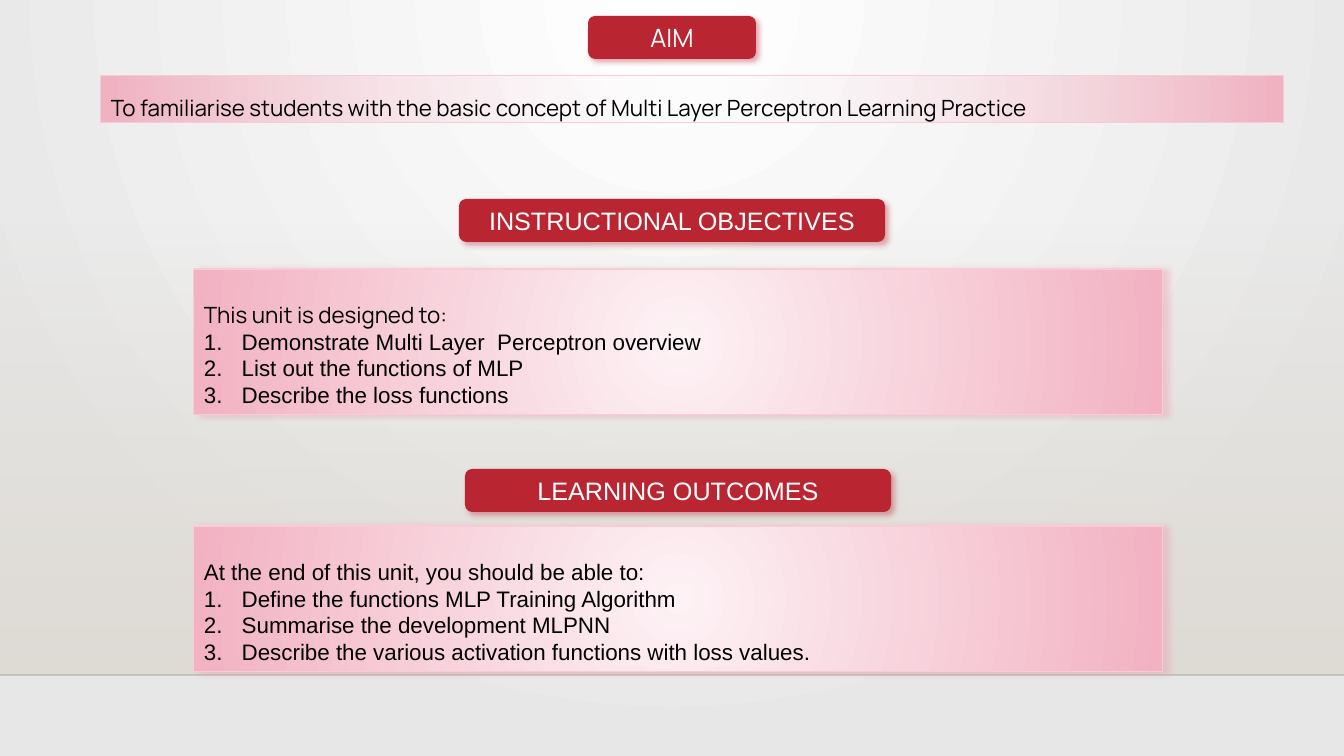
from lxml import etree
from pptx import Presentation
from pptx import util as u
from pptx.dml.color import RGBColor
from pptx.enum import shapes, text
from pptx.oxml import parse_xml
from pptx.oxml.ns import nsdecls, qn

PX = 12700 * 5 / 7  # 100.8 px to the inch
ROSE, BLUSH, CRIMSON, SAND = "F2B2C2", "FDF2F5", "BA2532", "DFDBD5"
CENTRE = '<a:path path="circle"><a:fillToRect l="50000" t="50000" r="50000" b="50000"/></a:path>'


def gradient(fill_parent, first, first_alpha, last, direction):
    """Replace the empty fill inside fill_parent by a two-stop gradient."""
    xml = (f'<a:gradFill {nsdecls("a")} rotWithShape="1"><a:gsLst>'
           f'<a:gs pos="0"><a:srgbClr val="{first}"><a:alpha val="{first_alpha * 1000}"/></a:srgbClr></a:gs>'
           f'<a:gs pos="100000"><a:srgbClr val="{last}"/></a:gs></a:gsLst>{direction}</a:gradFill>')
    no_fill = fill_parent.find(qn("a:noFill"))
    fill_parent.replace(no_fill, parse_xml(xml))


def block(kind, box, shadow=None, angle=0):
    """Add a shape without fill or line, with an optional (soft) shadow."""
    shape = slide.shapes.add_shape(kind, *[round(v * PX) for v in box])
    shape.fill.background()
    shape.line.fill.background()
    shape.shadow.inherit = False
    if shadow:
        effects = shape._element.spPr.find(qn("a:effectLst"))
        effects.append(parse_xml(
            f'<a:outerShdw {nsdecls("a")} blurRad="50800" dist="38100" dir="{angle * 60000}" '
            f'algn="tl" rotWithShape="0"><a:srgbClr val="{shadow}">'
            '<a:alpha val="40000"/></a:srgbClr></a:outerShdw>'))
    return shape


prs = Presentation()
prs.slide_width, prs.slide_height = round(1344 * PX), round(756 * PX)
slide = prs.slides.add_slide(prs.slide_layouts[6])

# Background, sand fade and floor line
slide.background.fill.background()
background = slide._element.cSld.find(qn("p:bg")).find(qn("p:bgPr"))
gradient(background, "FFFFFF", 100, "E7E7E7",
         '<a:path path="circle"><a:fillToRect l="43000" r="43000" b="100000"/></a:path>')
fade = block(shapes.MSO_SHAPE.RECTANGLE, (0, 223, 1344, 452))
gradient(fade._element.spPr, SAND, 0, SAND, '<a:lin ang="5400000" scaled="0"/>')
floor = slide.shapes.add_connector(shapes.MSO_CONNECTOR.STRAIGHT, 0, round(675 * PX),
                                   prs.slide_width, round(675 * PX))
floor.line.width = u.Pt(1)
floor.line.color.rgb = RGBColor.from_string("000001")
floor_colour = floor._element.spPr.find(".//" + qn("a:srgbClr"))
etree.SubElement(floor_colour, qn("a:alpha"), val="20000")
etree.SubElement(floor._element.spPr, qn("a:effectLst"))

# Sections: heading, its font and box; panel box, centre opacity, shadow, line spacing; intro, font, items
sections = [
    ("AIM", "Manrope", (588, 16, 168, 43), (101, 76, 1183, 47), 0, None, 1.5,
     "To familiarise students with the basic concept of Multi Layer Perceptron Learning Practice",
     "Manrope", []),
    ("INSTRUCTIONAL OBJECTIVES", "Arial", (459, 199, 426, 43), (194, 269, 969, 146), 100, "EE99AD", 2,
     "This unit is designed to:", "Manrope",
     ["Demonstrate Multi Layer  Perceptron overview",
      "List out the functions of MLP",
      "Describe the loss functions"]),
    ("LEARNING OUTCOMES", "Arial", (465, 469, 426, 43), (194, 526, 969, 146), 100, "EE99AD", 2,
     "At the end of this unit, you should be able to:", "Arial",
     ["Define the functions MLP Training Algorithm",
      "Summarise the development MLPNN",
      "Describe the various activation functions with loss values."]),
]

for (heading, heading_font, heading_box, panel_box, opacity, shadow, spacing,
     intro, intro_font, items) in sections:
    # Red heading
    banner = block(shapes.MSO_SHAPE.ROUNDED_RECTANGLE, heading_box, CRIMSON, 45)
    banner.fill.solid()
    banner.fill.fore_color.rgb = RGBColor.from_string(CRIMSON)
    banner.text_frame.vertical_anchor = text.MSO_ANCHOR.MIDDLE
    title = banner.text_frame.paragraphs[0]
    title.alignment = text.PP_ALIGN.CENTER
    lines = [(title, heading, heading_font, 18, "FFFFFF")]

    # Pink panel
    panel = block(shapes.MSO_SHAPE.RECTANGLE, panel_box, shadow)
    gradient(panel._element.spPr, BLUSH, opacity, ROSE, CENTRE)
    panel.line.color.rgb = RGBColor.from_string("F7CCD6")
    panel.line.width = u.Pt(0.75)
    frame = panel.text_frame
    frame.word_wrap = True
    frame.auto_size = text.MSO_AUTO_SIZE.SHAPE_TO_FIT_TEXT
    frame.vertical_anchor = text.MSO_ANCHOR.TOP
    opening = frame.paragraphs[0]
    opening.alignment = text.PP_ALIGN.LEFT
    opening.line_spacing = spacing
    lines.append((opening, intro, intro_font, 16, "000000"))

    # Numbered items
    for item in items:
        entry = frame.add_paragraph()
        entry.alignment = text.PP_ALIGN.LEFT
        numbering = entry._p.get_or_add_pPr()
        numbering.set("marL", "342900")
        numbering.set("indent", "-342900")
        etree.SubElement(numbering, qn("a:buFont"), typeface="+mj-lt")
        etree.SubElement(numbering, qn("a:buAutoNum"), type="arabicPeriod")
        lines.append((entry, item, "Arial", 16, "000000"))

    for paragraph, words, font, size, colour in lines:
        run = paragraph.add_run()
        run.text = words
        run.font.name, run.font.size = font, u.Pt(size)
        run.font.color.rgb = RGBColor.from_string(colour)

prs.save("out.pptx")
